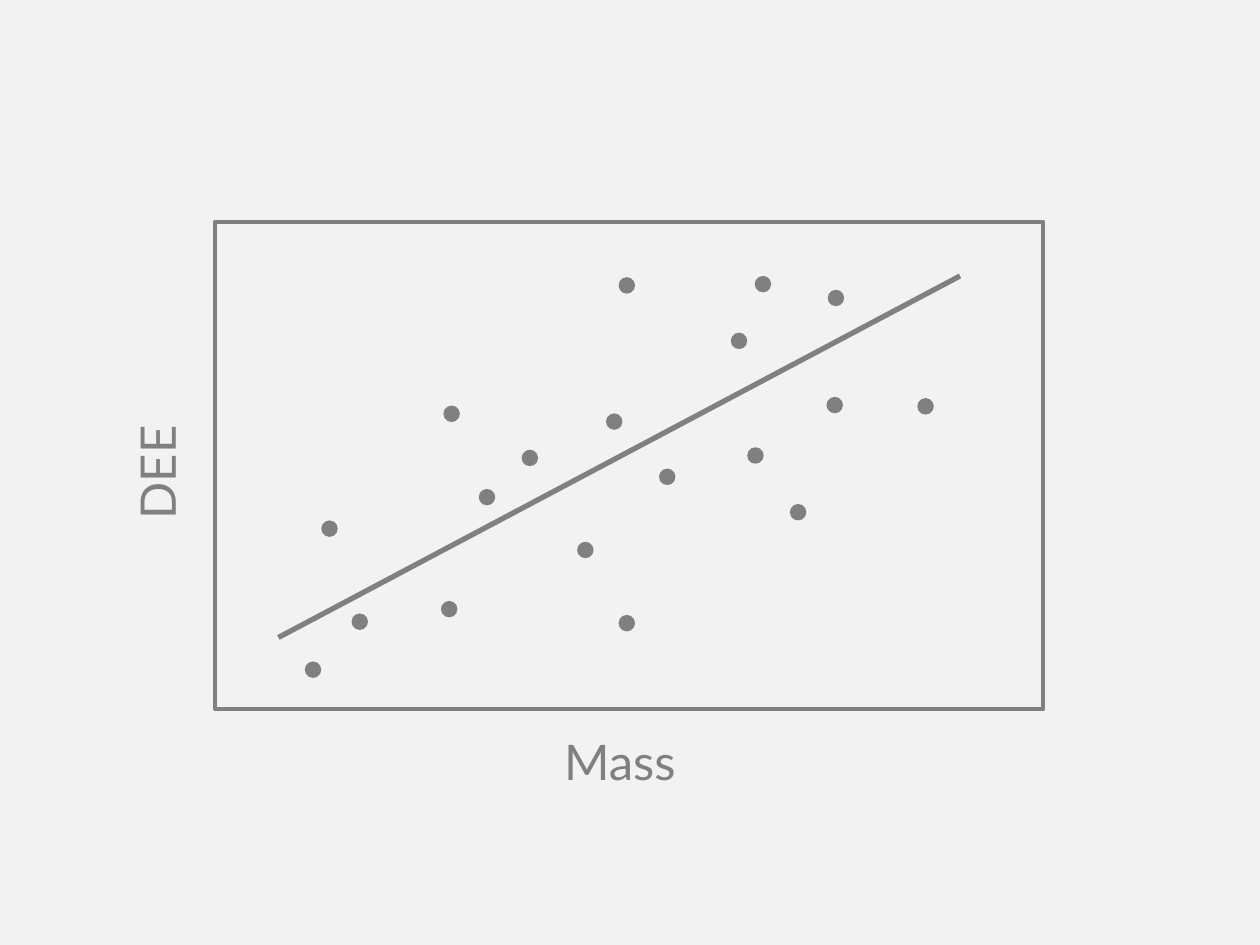
from lxml import etree
from pptx import Presentation
from pptx.dml.color import RGBColor
from pptx.enum import shapes, text
from pptx.oxml.ns import qn
from pptx.util import Pt

COLORS = {"background": "F2F2F2", "ink": "808080"}
ink = RGBColor.from_string(COLORS["ink"])
DOT = 9.4

prs = Presentation()
prs.slide_width, prs.slide_height = Pt(720), Pt(540)
s = prs.slides.add_slide(prs.slide_layouts[6])
s.background.fill.solid()
s.background.fill.fore_color.rgb = RGBColor.from_string(COLORS["background"])

frame = s.shapes.add_shape(shapes.MSO_SHAPE.RECTANGLE,
                           Pt(123.1), Pt(126.7), Pt(473), Pt(278.6))
frame.shadow.inherit = False
frame.fill.background()
frame.line.color.rgb = ink
frame.line.width = Pt(2.25)

trend = s.shapes.add_connector(shapes.MSO_CONNECTOR.STRAIGHT,
                               Pt(159.1), Pt(364.3), Pt(548.6), Pt(157.7))
trend.line.color.rgb = ink
trend.line.width = Pt(3)
etree.SubElement(trend._element.spPr, qn("a:effectLst"))

for label, left, top, rotation in [("Mass", 298.1, 404.6, 0), ("DEE", 35.3, 237.6, 270)]:
    sp = s.shapes.add_textbox(Pt(left), Pt(top), Pt(112.3), Pt(64.8))
    sp.rotation = rotation
    tf = sp.text_frame
    tf.word_wrap = True
    tf.vertical_anchor = text.MSO_ANCHOR.MIDDLE
    p = tf.paragraphs[0]
    p.alignment = text.PP_ALIGN.CENTER
    p.line_spacing = 0.9
    r = p.add_run()
    r.text = label
    for name, value in {"name": "Lato", "size": Pt(28)}.items():
        setattr(r.font, name, value)
    r.font.color.rgb = ink

points = [
    (353.5, 351.4), (353.5, 158.4), (451.4, 288), (376.6, 267.8), (298.1, 257),
    (253.4, 231.8), (183.6, 297.4), (174.2, 378), (252, 343.4), (329.8, 309.6),
    (417.6, 190.1), (427, 255.6), (524.2, 227.5), (473, 165.6), (346.3, 236.2),
    (273.6, 279.4), (200.9, 350.6), (431.3, 157.7), (472.3, 226.8),
]
for left, top in points:
    dot = s.shapes.add_shape(shapes.MSO_SHAPE.OVAL, Pt(left), Pt(top), Pt(DOT), Pt(DOT))
    dot.shadow.inherit = False
    dot.fill.solid()
    dot.fill.fore_color.rgb = ink
    dot.line.fill.background()

prs.save("out.pptx")
